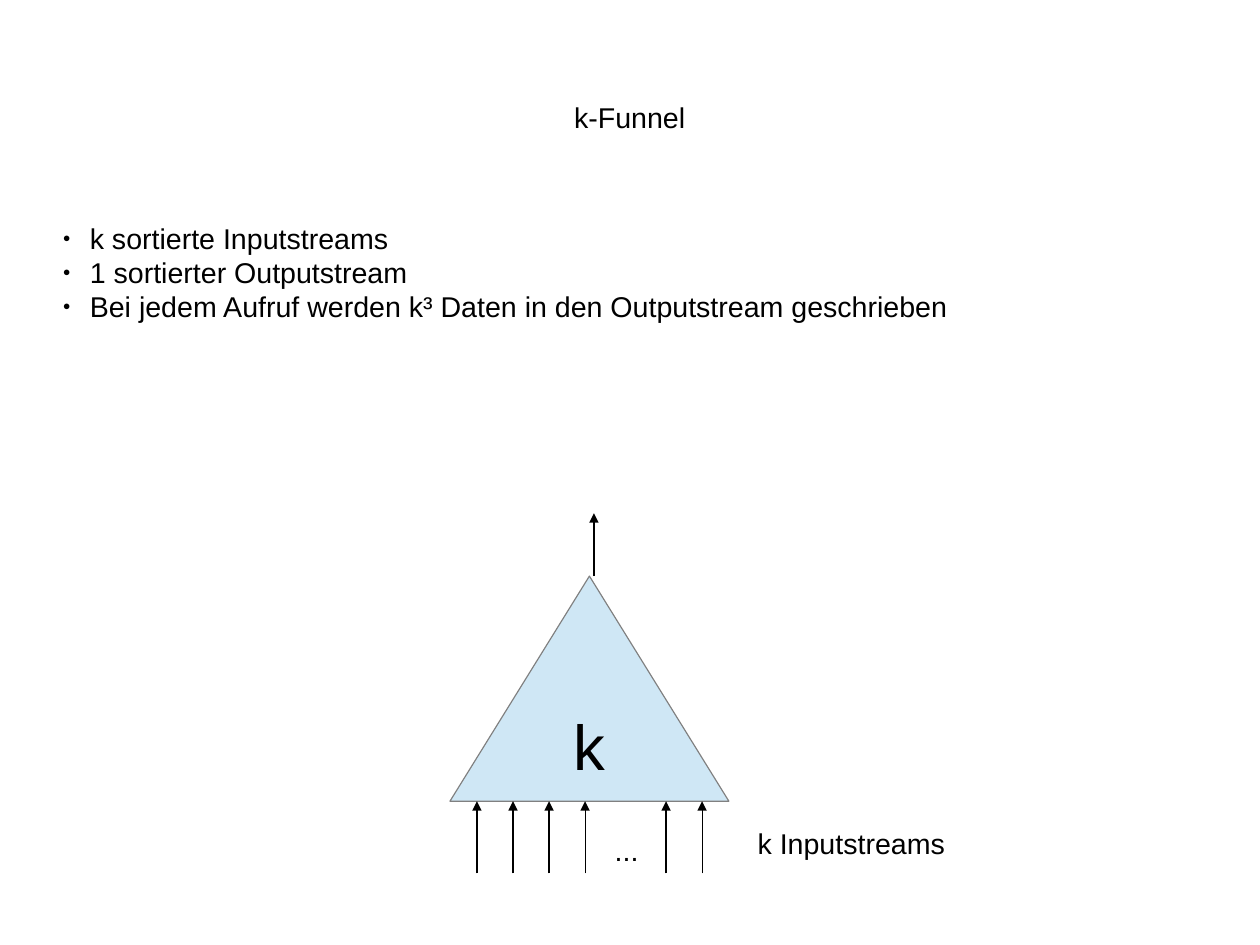
from lxml.etree import SubElement
from pptx import Presentation
from pptx.dml.color import RGBColor
from pptx.enum.shapes import MSO_CONNECTOR, MSO_SHAPE
from pptx.enum.text import MSO_ANCHOR, PP_ALIGN
from pptx.oxml.ns import qn
from pptx.util import Pt


def write(sp, lines, size=18, align=PP_ALIGN.LEFT, anchor=MSO_ANCHOR.TOP, inset=(7.2, 3.6)):
    """Fill a shape with one paragraph per line and return the paragraphs."""
    tf = sp.text_frame
    dx, dy = map(Pt, inset)
    frame = {"word_wrap": True, "vertical_anchor": anchor, "margin_left": dx,
             "margin_right": dx, "margin_top": dy, "margin_bottom": dy}
    for name, value in frame.items():
        setattr(tf, name, value)
    tf.text = "\n".join(lines)
    for p in tf.paragraphs:
        p.alignment = align
        for r in p.runs:
            for name, value in {"name": "Arial", "size": Pt(size)}.items():
                setattr(r.font, name, value)
            r.font.color.rgb = color("000000")
    return tf.paragraphs


def color(value):
    return RGBColor.from_string(value)


prs = Presentation()
prs.slide_width, prs.slide_height = Pt(793.75), Pt(595.25)
s = prs.slides.add_slide(prs.slide_layouts[6])

# Title and bullets
title = s.shapes.add_textbox(Pt(39.6), Pt(23.8), Pt(714.2), Pt(99.4))
write(title, ["k-Funnel"], align=PP_ALIGN.CENTER, anchor=MSO_ANCHOR.MIDDLE, inset=(0, 0))

body = s.shapes.add_textbox(Pt(39.6), Pt(139), Pt(698.4), Pt(344.9))
points = ["k sortierte Inputstreams", "1 sortierter Outputstream",
          "Bei jedem Aufruf werden k³ Daten in den Outputstream geschrieben"]
for p in write(body, points, inset=(0, 0)):
    pPr = p._p.get_or_add_pPr()
    pPr.set("marL", str(Pt(17)))
    pPr.set("indent", str(-Pt(17)))
    SubElement(pPr, qn("a:buSzPct"), val="45000")
    SubElement(pPr, qn("a:buFont"), typeface="Arial")
    SubElement(pPr, qn("a:buChar"), char="●")

# Funnel
base, apex = 504.7, 362.9
funnel = s.shapes.add_shape(MSO_SHAPE.ISOSCELES_TRIANGLE,
                            Pt(283.5), Pt(apex), Pt(175.7), Pt(base - apex))
funnel.shadow.inherit = False
funnel.fill.solid()
funnel.fill.fore_color.rgb = color("CFE7F5")
funnel.line.color.rgb = color("808080")
funnel.line.width = Pt(0.75)
write(funnel, ["k"], size=40, align=PP_ALIGN.CENTER, anchor=MSO_ANCHOR.MIDDLE)

# Streams: four inputs, a gap, two inputs, and one output
inputs = [start + 22.7 * i for start, count in ((300.5, 4), (419.6, 2)) for i in range(count)]
streams = [(x, 550.1, base) for x in inputs] + [(374.2, apex, 323.3)]
for x, bottom, top in streams:
    arrow = s.shapes.add_connector(MSO_CONNECTOR.STRAIGHT, Pt(x), Pt(bottom), Pt(x), Pt(top))
    arrow.line.color.rgb = color("000000")
    arrow.line.width = Pt(0.75)
    SubElement(arrow.line._get_or_add_ln(), qn("a:tailEnd"), type="triangle")
    SubElement(arrow._element.spPr, qn("a:effectLst"))

for text, left, top, width in (("...", 380.2, 521.3, 67.7), ("k Inputstreams", 470.2, 517, 169.9)):
    label = s.shapes.add_textbox(Pt(left), Pt(top), Pt(width), Pt(27.4))
    write(label, [text])

prs.save("out.pptx")
